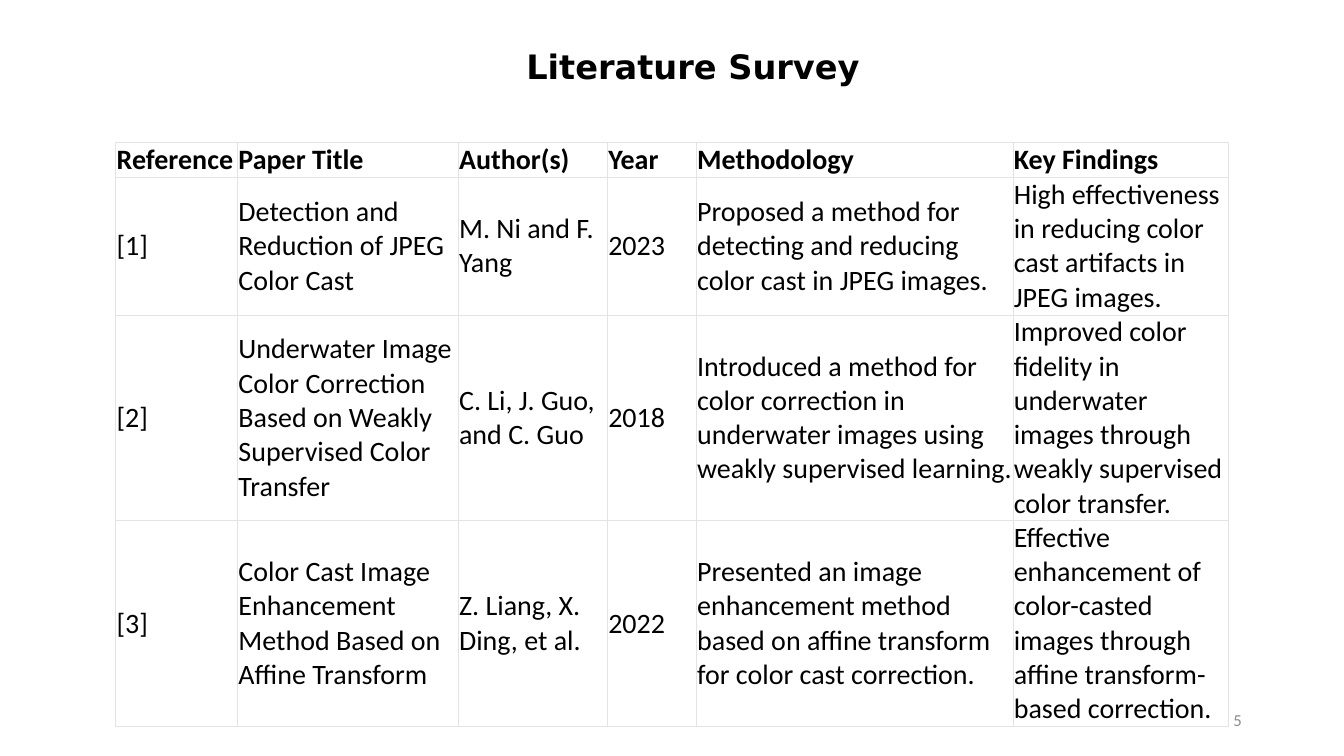
from lxml.etree import SubElement
from pptx import Presentation
from pptx.dml.color import RGBColor
from pptx.enum.text import MSO_ANCHOR, PP_ALIGN
from pptx.oxml.ns import qn
from pptx.util import Cm, Pt

COLUMN_WIDTHS = [3.07, 5.56, 3.76, 2.24, 7.98, 5.44]
ROW_HEIGHTS = [0.88, 3.47, 5.18, 5.18]
SURVEY = [
    ["Reference", "Paper Title", "Author(s)", "Year", "Methodology", "Key Findings"],
    ["[1]", "Detection and Reduction of JPEG Color Cast", "M. Ni and F. Yang", "2023",
     "Proposed a method for detecting and reducing color cast in JPEG images.",
     "High effectiveness in reducing color cast artifacts in JPEG images."],
    ["[2]", "Underwater Image Color Correction Based on Weakly Supervised Color Transfer",
     "C. Li, J. Guo, and C. Guo", "2018",
     "Introduced a method for color correction in underwater images using "
     "weakly supervised learning.",
     "Improved color fidelity in underwater images through weakly supervised "
     "color transfer."],
    ["[3]", "Color Cast Image Enhancement Method Based on Affine Transform",
     "Z. Liang, X. Ding, et al.", "2022",
     "Presented an image enhancement method based on affine transform for color "
     "cast correction.",
     "Effective enhancement of color-casted images through affine transform-based "
     "correction."],
]


def color(value):
    """Turn a hex string into a colour."""
    return RGBColor.from_string(value)


def add_span(para, text, size, font="Calibri", ink="000000", bold=False):
    """Add one formatted run to a paragraph."""
    span = para.add_run()
    span.text = text
    span.font.name = font
    span.font.size = Pt(size)
    span.font.bold = bold
    span.font.color.rgb = color(ink)


def add_text(page, left, top, width, height, text, align, **style):
    """Add a vertically centred text box with one paragraph."""
    box = page.shapes.add_textbox(Cm(left), Cm(top), Cm(width), Cm(height))
    box.text_frame.word_wrap = True
    box.text_frame.vertical_anchor = MSO_ANCHOR.MIDDLE
    para = box.text_frame.paragraphs[0]
    para.alignment = align
    para.line_spacing = 0.9
    add_span(para, text, **style)


def set_borders(cell, ink, width):
    """Draw the same line on all four sides of a cell."""
    properties = cell._tc.get_or_add_tcPr()
    for index, side in enumerate(["lnL", "lnR", "lnT", "lnB"]):
        line = SubElement(properties, qn(f"a:{side}"), w=str(Pt(width)))
        fill = SubElement(line, qn("a:solidFill"))
        SubElement(fill, qn("a:srgbClr"), val=ink)
        properties.insert(index, line)


def fill_cell(cell, text, header):
    """Format a survey cell and write its text."""
    cell.fill.solid()
    cell.fill.fore_color.rgb = color("FFFFFF")
    cell.margin_left = cell.margin_right = Cm(0.02)
    cell.margin_top = cell.margin_bottom = Cm(0)
    cell.vertical_anchor = MSO_ANCHOR.BOTTOM if header else MSO_ANCHOR.MIDDLE
    add_span(cell.text_frame.paragraphs[0], text, 20, bold=header)
    set_borders(cell, "E3E3E3", 0.75)


def add_survey_table(page, left, top):
    """Add the table of surveyed papers."""
    frame = page.shapes.add_table(
        len(SURVEY), len(COLUMN_WIDTHS), Cm(left), Cm(top),
        Cm(sum(COLUMN_WIDTHS)), Cm(sum(ROW_HEIGHTS)))
    table = frame.table
    table.horz_banding = False
    for column, width in zip(table.columns, COLUMN_WIDTHS):
        column.width = Cm(width)
    for row, height, texts in zip(table.rows, ROW_HEIGHTS, SURVEY):
        row.height = Cm(height)
        for cell, text in zip(row.cells, texts):
            fill_cell(cell, text, header=texts is SURVEY[0])


def main():
    """Build the literature survey slide."""
    deck = Presentation()
    deck.slide_width, deck.slide_height = Cm(33.87), Cm(19.05)
    page = deck.slides.add_slide(deck.slide_layouts[6])
    add_text(page, 12.93, -0.1, 9.07, 3.68, "Literature Survey", PP_ALIGN.CENTER,
             size=24, font="DejaVu Sans", bold=True)
    add_survey_table(page, 2.92, 3.59)
    add_text(page, 23.93, 17.65, 7.62, 1.02, "5", PP_ALIGN.RIGHT,
             size=12, ink="8C8C8C")
    deck.save("out.pptx")


if __name__ == "__main__":
    main()
